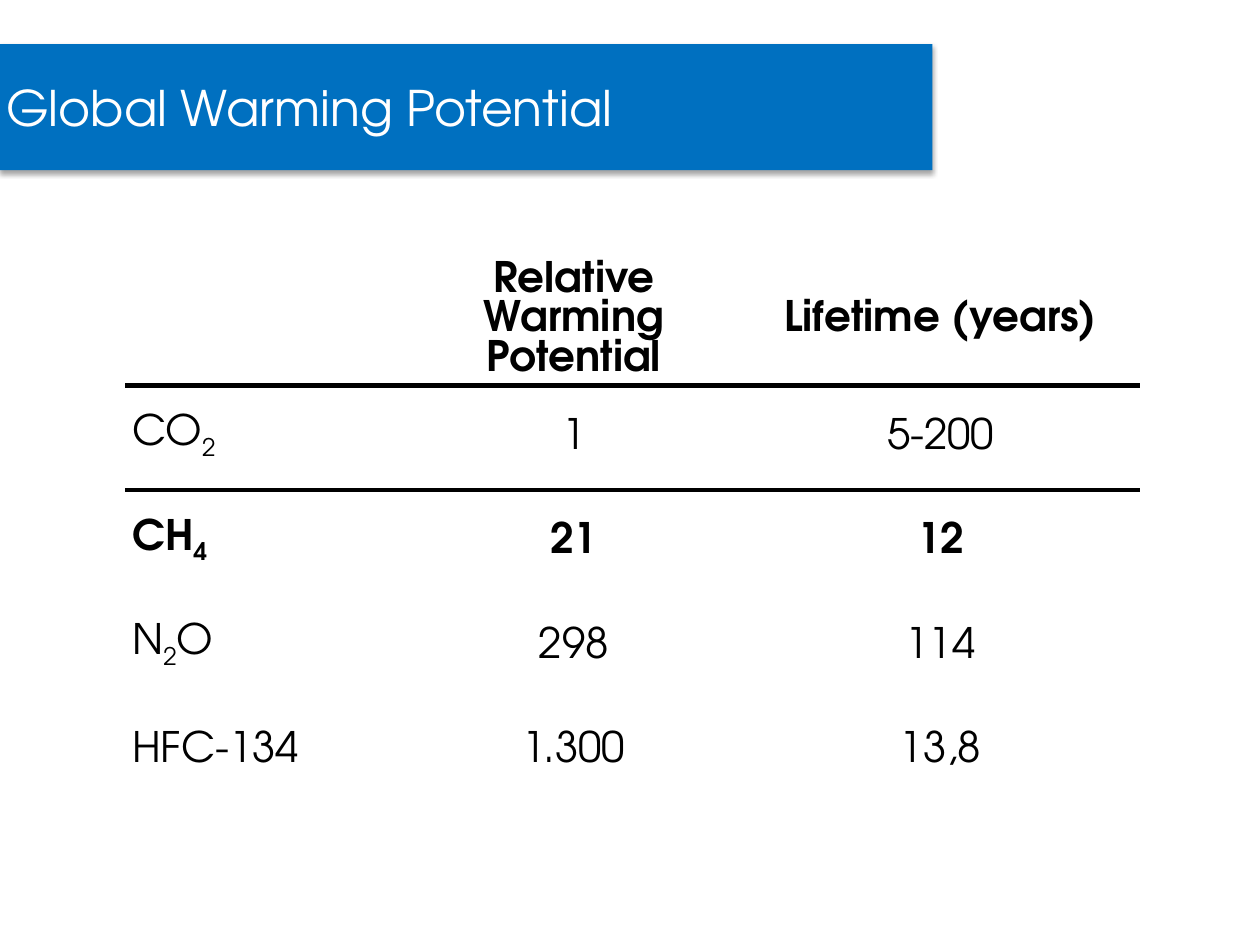
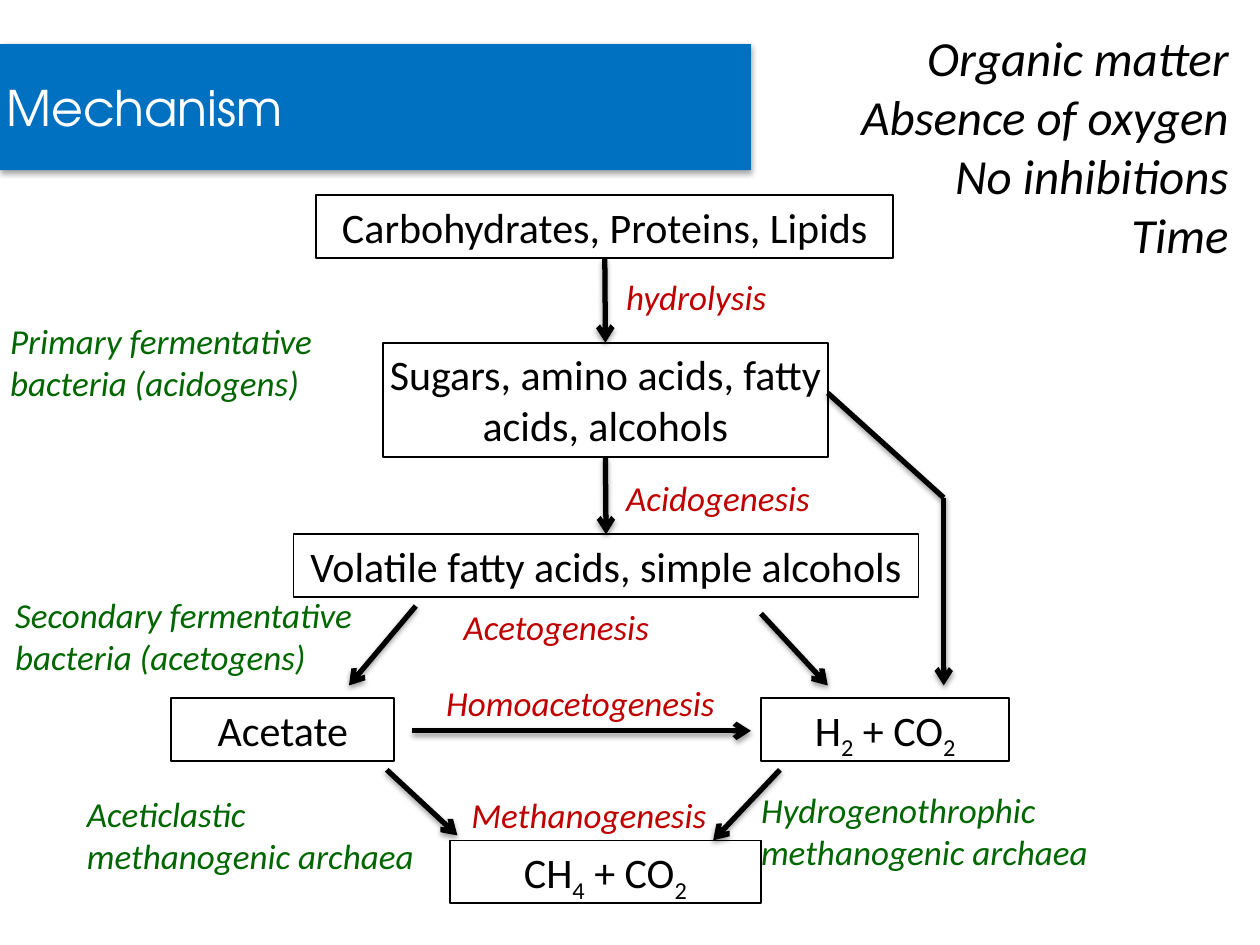
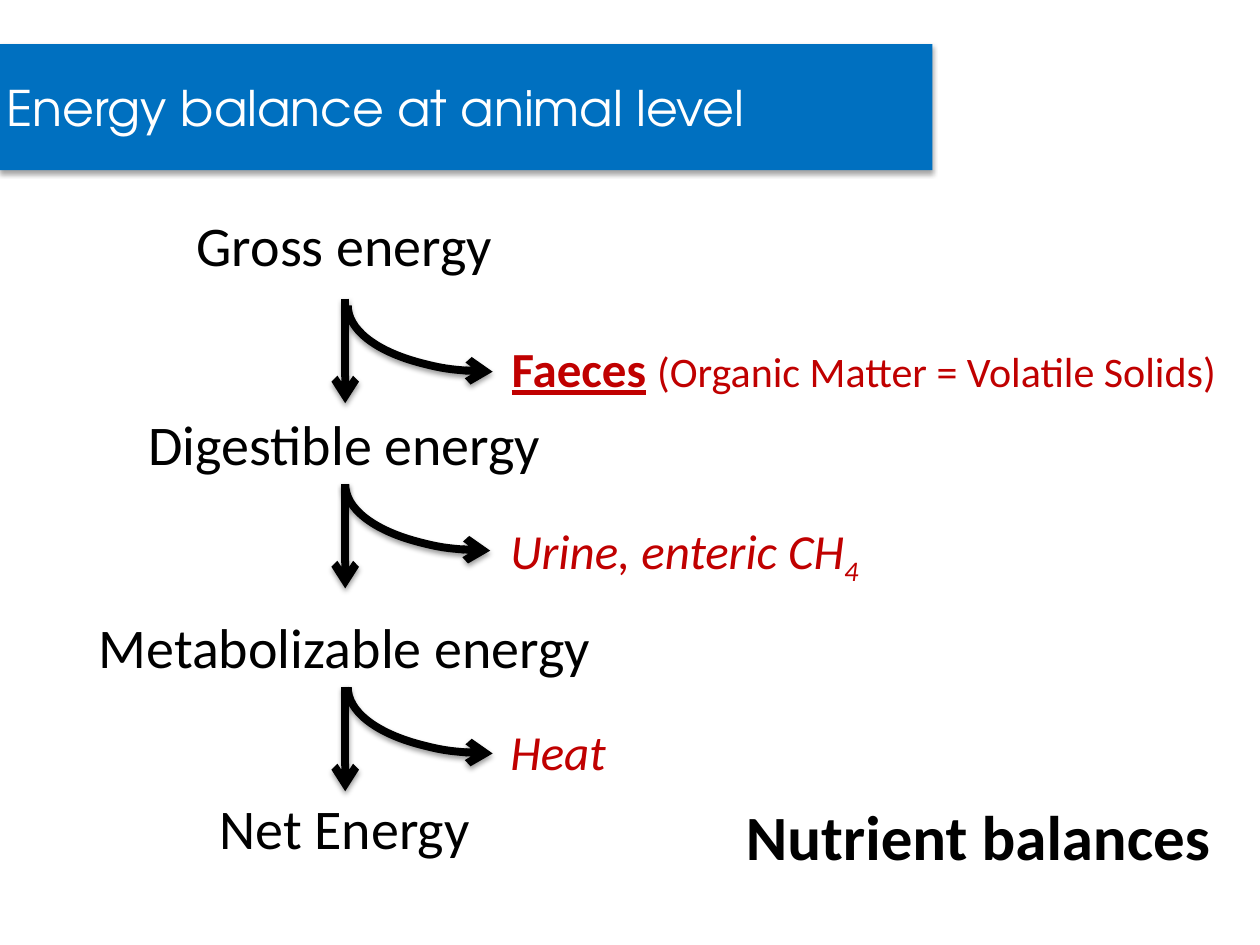
from lxml import etree
from pptx import Presentation
from pptx.dml.color import RGBColor
from pptx.enum.shapes import MSO_CONNECTOR as Link, MSO_SHAPE as Shape
from pptx.enum.text import MSO_ANCHOR as Anchor, MSO_AUTO_SIZE as AutoSize, PP_ALIGN as Align
from pptx.oxml.ns import qn
from pptx.util import Inches, Pt

COLORS = {"band": "0070C0", "white": "FFFFFF", "black": "000000",
          "process": "C00000", "microbe": "006600"}
TITLE_FONT, BODY_FONT = "TeX Gyre Adventor", "Calibri"
INSET = Inches(0.05)


def write(holder, text, size, color="black", align=Align.LEFT, font=BODY_FONT,
          bold=False, italic=False, anchor=Anchor.TOP):
    """Fill a text frame or cell; the character after an underscore is a subscript."""
    holder.margin_left = holder.margin_right = INSET
    holder.margin_top = holder.margin_bottom = INSET
    holder.vertical_anchor = anchor
    frame = getattr(holder, "text_frame", holder)
    frame.word_wrap = True
    for number, line in enumerate(text.split("\n")):
        para = frame.add_paragraph() if number else frame.paragraphs[0]
        para.alignment = align
        para.font.name, para.font.size = font, Pt(size)
        para.font.bold, para.font.italic = bold, italic
        para.font.color.rgb = RGBColor.from_string(COLORS[color])
        first, *others = line.split("_")
        if first:
            para.add_run().text = first
        for part in others:
            span = para.add_run()
            span.text = part[0]
            span.font._element.set("baseline", "-25000")
            if part[1:]:
                para.add_run().text = part[1:]
    return frame.paragraphs[0]


def cast_shadow(shape, alpha, distance):
    """Give a shape or connector a soft shadow straight below it."""
    effects = etree.SubElement(shape.element.spPr, qn("a:effectLst"))
    shadow = etree.SubElement(effects, qn("a:outerShdw"), blurRad=str(Pt(3)),
                              dist=str(Pt(distance)), dir="5400000", rotWithShape="0")
    black = etree.SubElement(shadow, qn("a:srgbClr"), val=COLORS["black"])
    etree.SubElement(black, qn("a:alpha"), val=str(alpha * 1000))


deck = Presentation()
deck.slide_width, deck.slide_height = Inches(10), Inches(7.5)

# Pages with title bands
pages = []
for heading, band_width in [("Global Warming Potential", 7.4), ("Mechanism", 5.96),
                            ("Energy balance at animal level", 7.4)]:
    page = deck.slides.add_slide(deck.slide_layouts[5])
    band = page.shapes.add_shape(Shape.RECTANGLE, 0, Inches(0.35), Inches(band_width), Inches(1))
    band.fill.solid()
    band.fill.fore_color.rgb = RGBColor.from_string(COLORS["band"])
    band.line.fill.background()
    cast_shadow(band, 35, 1.8)
    title = page.shapes.title
    title.element.addprevious(band.element)
    title.left, title.top = 0, Inches(0.56)
    title.width, title.height = Inches(band_width), Inches(0.57)
    title.text_frame.auto_size = AutoSize.NONE
    write(title.text_frame, heading, 28, "white", font=TITLE_FONT, anchor=Anchor.MIDDLE)
    pages.append(page)
warming, mechanism, energy = pages
strokes = []  # (shape, line width, arrowhead tag or None)

# Warming potential table
gases = [
    ("", "Relative Warming Potential", "Lifetime (years)"),
    ("CO_2", "1", "5-200"),
    ("CH_4", "21", "12"),
    ("N_2O", "298", "114"),
    ("HFC-134", "1.300", "13,8"),
]
table = warming.shapes.add_table(5, 3, Inches(1), Inches(2.02), Inches(8.04), Inches(4.34)).table
table.first_row = table.horz_banding = False
for column, width in zip(table.columns, (2.22, 2.67, 3.15)):
    column.width = Inches(width)
for row, gas in enumerate(gases):
    table.rows[row].height = Inches(0.83 if row else 1.02)
    for column, value in enumerate(gas):
        cell = table.cell(row, column)
        cell.fill.background()
        para = write(cell, value, 24, align=Align.CENTER if column else Align.LEFT,
                     font=TITLE_FONT, bold=row in (0, 2), anchor=Anchor.MIDDLE)
        para.space_before = Pt(4)
        if row == 0:
            para.line_spacing = Pt(22.5)
        if row < 2:  # the rule between header and body
            border = etree.Element(qn("a:lnT" if row else "a:lnB"), w=str(Pt(3)))
            fill = etree.SubElement(border, qn("a:solidFill"))
            etree.SubElement(fill, qn("a:srgbClr"), val=COLORS["black"])
            cell._tc.get_or_add_tcPr().insert(0, border)

# Mechanism: substance boxes
substances = [
    ("Carbohydrates, Proteins, Lipids", 2.51, 1.55, 4.58, 0.5),
    ("Sugars, amino acids, fatty acids, alcohols", 3.04, 2.72, 3.53, 0.91),
    ("Volatile fatty acids, simple alcohols", 2.33, 4.24, 4.96, 0.5),
    ("Acetate", 1.36, 5.54, 1.77, 0.5),
    ("H_2 + CO_2", 6.04, 5.54, 1.97, 0.5),
    ("CH_4 + CO_2", 3.57, 6.67, 2.47, 0.5),
]
boxes = []
for text, *place in substances:
    box = mechanism.shapes.add_shape(Shape.RECTANGLE, *map(Inches, place))
    box.shadow.inherit = False
    box.fill.background()
    box.line.color.rgb = RGBColor.from_string(COLORS["black"])
    box.line.width = Pt(1)
    write(box.text_frame, text, 24, align=Align.CENTER)
    boxes.append(box)

# Mechanism: arrows down the middle, joined to the boxes
for upper, lower in zip(boxes[:2], boxes[1:3]):
    arrow = mechanism.shapes.add_connector(Link.STRAIGHT, 0, 0, 0, 0)
    arrow.begin_connect(upper, 2)
    arrow.end_connect(lower, 0)
    strokes.append((arrow, 3, "a:tailEnd"))

# Mechanism: free arrows, and the plain line that starts the bypass
for ends, head in [
    ((3.3, 4.81, 2.77, 5.44), "a:tailEnd"),
    ((6.04, 4.87, 6.57, 5.44), "a:tailEnd"),
    ((3.07, 6.11, 3.63, 6.63), "a:tailEnd"),
    ((6.19, 6.11, 5.66, 6.67), "a:tailEnd"),
    ((3.27, 5.8, 5.96, 5.8), "a:tailEnd"),
    ((7.49, 3.95, 7.49, 5.44), "a:tailEnd"),
    ((6.57, 3.12, 7.49, 3.95), None),
]:
    arrow = mechanism.shapes.add_connector(Link.STRAIGHT, *map(Inches, ends))
    strokes.append((arrow, 3, head))

# Mechanism: processes and microbes
for text, color, *place in [
    ("hydrolysis", "process", 4.92, 2.14, 2.03, 0.44),
    ("Acidogenesis", "process", 4.92, 3.73, 2.03, 0.44),
    ("Acetogenesis", "process", 3.63, 4.76, 2.03, 0.44),
    ("Homoacetogenesis", "process", 3.49, 5.36, 2.55, 0.44),
    ("Methanogenesis", "process", 3.69, 6.25, 2.55, 0.44),
    ("Primary fermentative bacteria (acidogens)", "microbe", 0.03, 2.49, 2.78, 0.77),
    ("Secondary fermentative bacteria (acetogens)", "microbe", 0.07, 4.66, 2.86, 0.77),
    ("Hydrogenothrophic methanogenic archaea", "microbe", 5.99, 6.21, 3, 0.77),
    ("Aceticlastic methanogenic archaea", "microbe", 0.64, 6.24, 3, 0.77),
]:
    label = mechanism.shapes.add_textbox(*map(Inches, place))
    write(label.text_frame, text, 20, color, italic=True)

# Mechanism: conditions
conditions = mechanism.shapes.add_textbox(Inches(5.89), Inches(0.17), Inches(3.91), Inches(1.99))
write(conditions.text_frame, "Organic matter\nAbsence of oxygen\nNo inhibitions\nTime", 28,
      align=Align.RIGHT, italic=True)

# Energy: stages
for text, top in [("Gross energy", 1.62), ("Digestible energy", 3.2),
                  ("Metabolizable energy", 4.81), ("Net Energy", 6.25)]:
    stage = energy.shapes.add_textbox(Inches(0.42), Inches(top), Inches(4.63), Inches(0.64))
    write(stage.text_frame, text, 32, align=Align.CENTER)

# Energy: arrows down, and arcs out to the losses
for arrow_top, arc_left, arc_top in [(2.37, 2.76, 1.9), (3.84, 2.74, 3.32), (5.45, 2.76, 4.93)]:
    arrow = energy.shapes.add_connector(Link.STRAIGHT, Inches(2.74), Inches(arrow_top),
                                        Inches(2.74), Inches(arrow_top + 0.83))
    arc = energy.shapes.add_shape(Shape.ARC, Inches(arc_left), Inches(arc_top),
                                  Inches(2.3), Inches(1.05))
    arc.rotation = 180
    arc.fill.background()
    strokes += [(arrow, 4.5, "a:tailEnd"), (arc, 4.5, "a:headEnd")]

# Energy: losses
for text, left, top, width in [("Faeces", 4.01, 2.64, 5.99),
                               ("Urine, enteric CH_4", 4, 4.08, 3.72),
                               ("Heat", 4, 5.68, 3.72)]:
    loss = energy.shapes.add_textbox(Inches(left), Inches(top), Inches(width), Inches(0.57))
    para = write(loss.text_frame, text, 28, "process", italic=text != "Faeces")
    if text == "Faeces":
        para.runs[0].font.bold = para.runs[0].font.underline = True
        para.add_run().text = " "
        span = para.add_run()
        span.text = "(Organic Matter = Volatile Solids)"
        span.font.size = Pt(24)

# Energy: closing note
note = energy.shapes.add_textbox(Inches(5.87), Inches(6.28), Inches(3.91), Inches(0.71))
write(note.text_frame, "Nutrient balances", 36, bold=True)

# Line style of all arrows
for shape, width, head in strokes:
    shape.line.color.rgb = RGBColor.from_string(COLORS["black"])
    shape.line.width = Pt(width)
    if head:
        etree.SubElement(shape.element.spPr.find(qn("a:ln")), qn(head), type="arrow")
    cast_shadow(shape, 38, 1.6)

deck.save("out.pptx")
